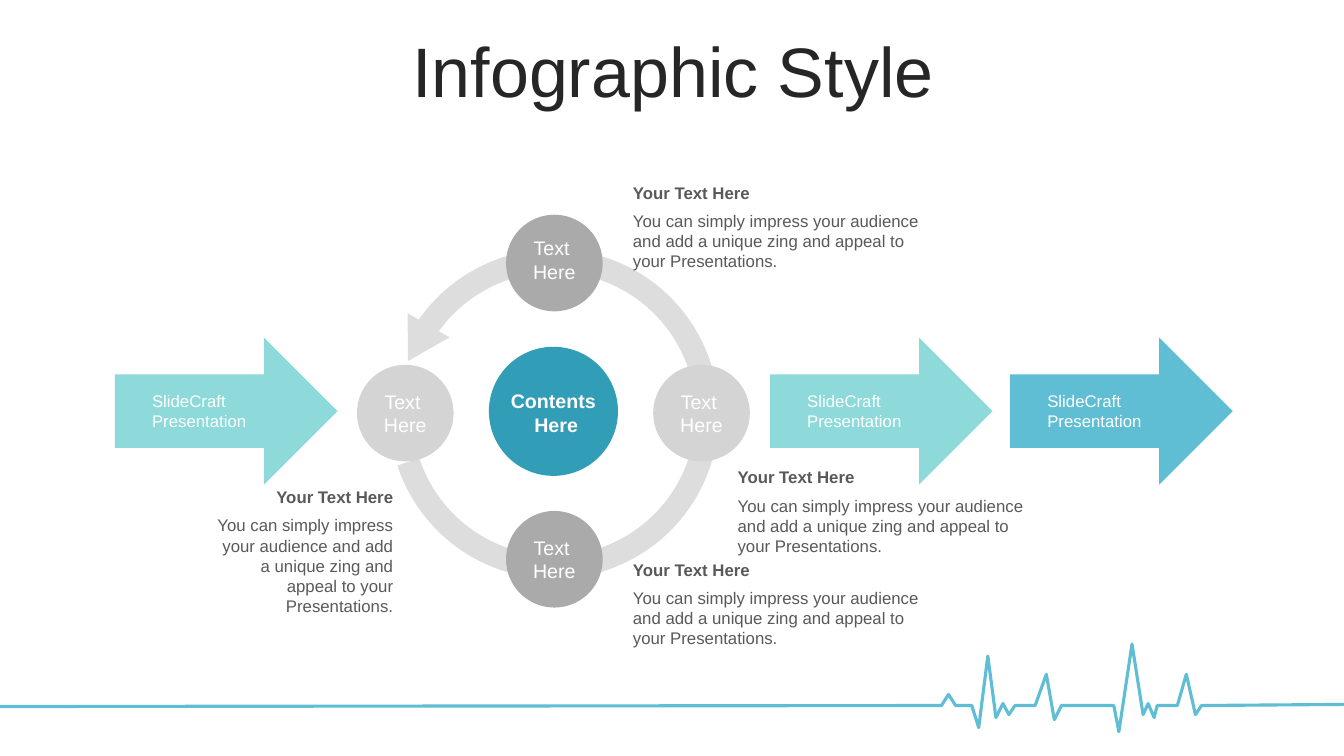
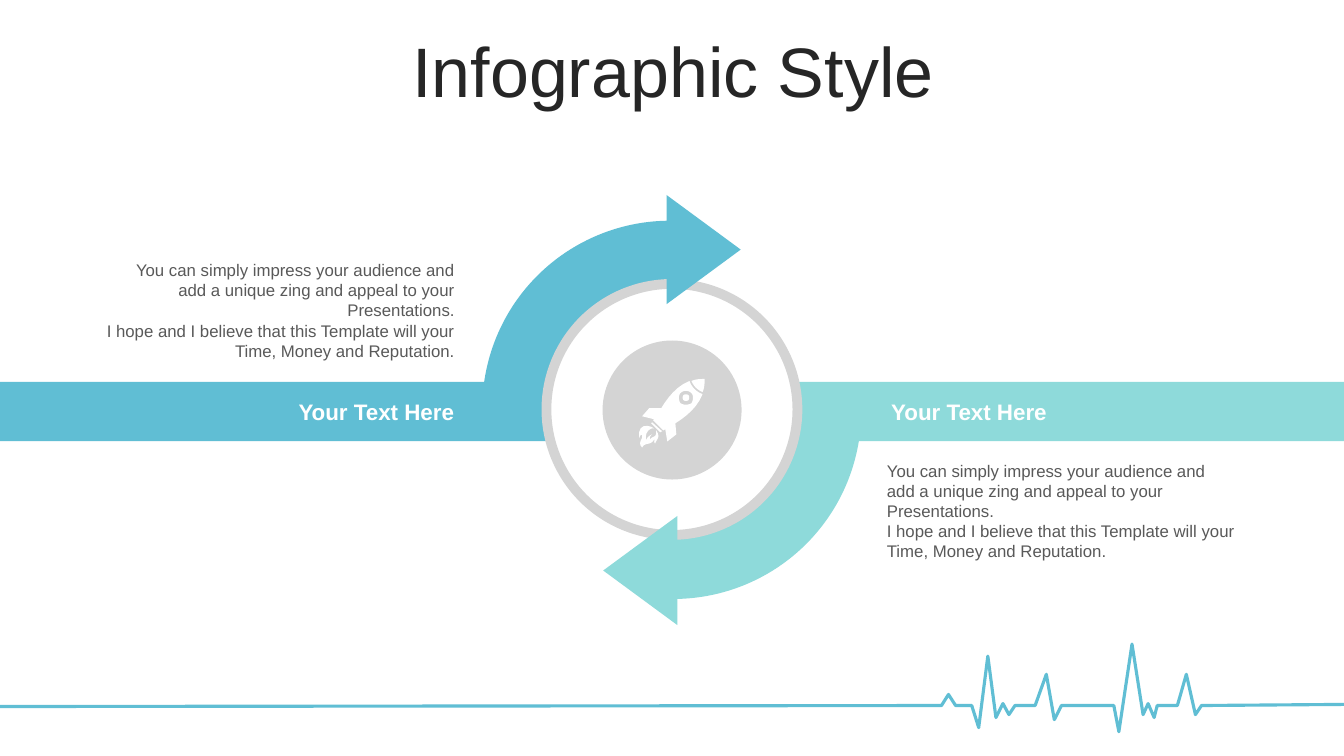
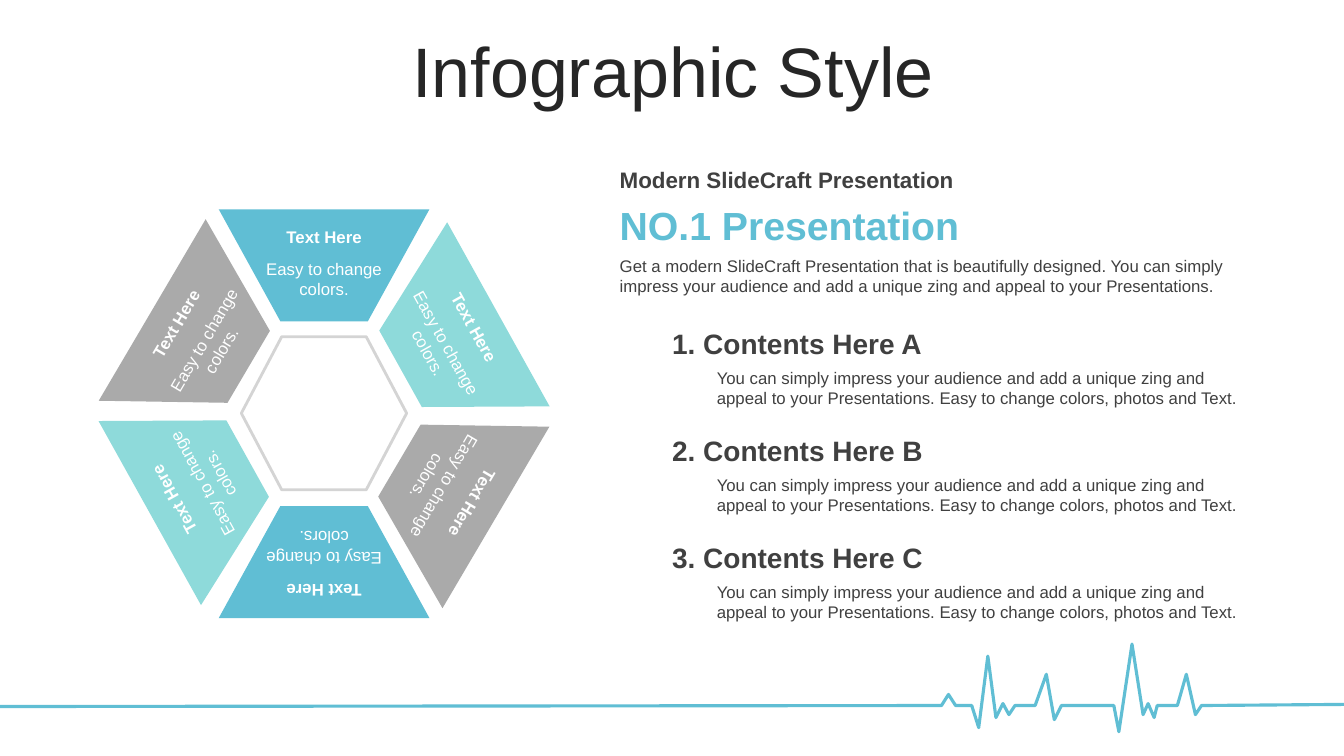
"""Build three medical infographic slides: a cycle, a rocket turn and a hexagon wheel."""
from math import cos, radians, sin

from pptx import Presentation
from pptx.dml.color import RGBColor
from pptx.enum.shapes import MSO_SHAPE
from pptx.enum.text import MSO_ANCHOR, PP_ALIGN
from pptx.util import Pt

FONT = "Arial"
BLUE, MINT, TEAL = "60BED4", "8EDADA", "319DB6"
PALE, SILVER, GREY = "DDDDDD", "D4D4D4", "AAAAAA"
WHITE, INK, DARK, BODY = "FFFFFF", "262626", "404040", "595959"
LEFT, CENTER, RIGHT = PP_ALIGN.LEFT, PP_ALIGN.CENTER, PP_ALIGN.RIGHT

PULSE = [
    (0, 504.7), (672.5, 504), (677.5, 496.1), (682.6, 504), (694.1, 504), (699.1, 519.8),
    (705.6, 468.7), (711.4, 512.6), (716.4, 502.6), (720.7, 510.5), (725, 504),
    (739.4, 504), (747.4, 481.7), (753.1, 514.1), (758.2, 504), (795.6, 504),
    (799.2, 522.7), (808.6, 460.1), (816.5, 510.5), (820.1, 502.6), (824.4, 512.6),
    (826.6, 504), (841, 504), (847.4, 481.7), (853.9, 510.5), (858.2, 504), (960, 503.2),
]


def paint(fill, color):
    """Make a fill solid in the given hex colour."""
    fill.solid()
    fill.fore_color.rgb = RGBColor.from_string(color)


def add(slide, kind, left, top, width, height, *lines, fill=None, line=None, weight=1,
        rotation=0, adjust=(), size=12, color=BODY, bold=0, align=LEFT, anchor=MSO_ANCHOR.TOP,
        gap=0, spacing=None, inset=(7.2, 3.6, 7.2, 3.6)):
    """Add a shape, or a text box when kind is None; the first `bold` lines are bold."""
    box = [Pt(length) for length in (left, top, width, height)]
    if kind is None:
        part = slide.shapes.add_textbox(*box)
    else:
        part = slide.shapes.add_shape(kind, *box)
        part.shadow.inherit = False
        paint(part.fill, fill)
        if line:
            paint(part.line.fill, line)
            part.line.width = Pt(weight)
        else:
            part.line.fill.background()
        for index, value in enumerate(adjust):
            part.adjustments[index] = value
    part.rotation = rotation
    if not lines:
        return
    frame = part.text_frame
    frame.word_wrap = True
    frame.vertical_anchor = anchor
    frame.margin_left, frame.margin_top, frame.margin_right, frame.margin_bottom = map(Pt, inset)
    for index, words in enumerate(lines):
        paragraph = frame.add_paragraph() if index else frame.paragraphs[0]
        paragraph.alignment = align
        if spacing:
            paragraph.line_spacing = spacing
        if index and gap:
            paragraph.space_before = Pt(gap)
        run = paragraph.add_run()
        run.text = words
        run.font.name = FONT
        run.font.size = Pt(size)
        run.font.bold = index < bold
        paint(run.font.fill, color)


deck = Presentation()
deck.slide_width, deck.slide_height = Pt(960), Pt(540)
blank = deck.slide_layouts[6]
cycle, turn, wheel = [deck.slides.add_slide(blank) for _ in range(3)]

for slide in (cycle, turn, wheel):
    points = [(Pt(x), Pt(y)) for x, y in PULSE]
    builder = slide.shapes.build_freeform(*points[0], scale=1.0)
    builder.add_line_segments(points[1:], close=False)
    pulse = builder.convert_to_shape()
    pulse.shadow.inherit = False
    pulse.fill.background()
    paint(pulse.line.fill, BLUE)
    pulse.line.width = Pt(2.25)
    add(slide, None, 25.2, 26.6, 911.5, 56.9, "Infographic Style", size=50, color=INK,
        align=CENTER, anchor=MSO_ANCHOR.MIDDLE, spacing=0.8)

IMPRESS = "You can simply impress your audience and add a unique zing and appeal to your Presentations."

for left, color in ((82, MINT), (550, MINT), (721.5, BLUE)):
    add(cycle, MSO_SHAPE.RIGHT_ARROW, left, 241.2, 159, 105, "SlideCraft", "Presentation",
        fill=color, color=WHITE, anchor=MSO_ANCHOR.MIDDLE, inset=(26.6, 0, 0, 0))

add(cycle, MSO_SHAPE.BLOCK_ARC, 278, 178, 235.5, 235.5, fill=PALE, adjust=(128.351, 97.082, 0.07))
for left, top, color, lift in ((255, 260.6, SILVER, 0), (361.5, 365, GREY, 0),
                               (466.6, 260.6, SILVER, 0), (361.5, 153.4, GREY, 5)):
    add(cycle, MSO_SHAPE.OVAL, left, top, 69, 69, "Text ", "Here", fill=color, size=14,
        color=WHITE, align=CENTER, anchor=MSO_ANCHOR.MIDDLE, inset=(0, 0, 0, lift))
add(cycle, MSO_SHAPE.OVAL, 349.2, 247.7, 92.2, 92.2, "Contents", " Here", fill=TEAL, size=14,
    color=WHITE, bold=2, align=CENTER, anchor=MSO_ANCHOR.MIDDLE, inset=(0, 2, 0, 0))
add(cycle, MSO_SHAPE.ISOSCELES_TRIANGLE, 281.5, 230.4, 34.5, 29.5, fill=PALE, rotation=210)

for left, top, width, align in ((445, 126.7, 231, LEFT), (519.8, 330, 231, LEFT),
                                (445, 396, 231, LEFT), (144.7, 344.2, 143.3, RIGHT)):
    add(cycle, None, left, top, width, 71, "Your Text Here", IMPRESS, bold=1, align=align, gap=5.8)

HOPE = "I hope and I believe that this Template will your Time, Money and Reputation."

for left, color, align, inset in ((0, BLUE, RIGHT, (0, 0, 66, 0)), (569.6, MINT, LEFT, (67, 0, 0, 0))):
    add(turn, MSO_SHAPE.RECTANGLE, left, 272.7, 390.4, 42.5, "Your Text Here", fill=color, size=16,
        color=WHITE, bold=1, align=align, anchor=MSO_ANCHOR.MIDDLE, inset=inset)
for left, top, color, rotation in ((344.5, 157.7, BLUE, 0), (346.7, 159.3, MINT, 180)):
    add(turn, MSO_SHAPE.PIE, left, top, 268.5, 268.5, fill=color, rotation=rotation,
        adjust=(107.755, 162))
add(turn, MSO_SHAPE.OVAL, 390.3, 202.8, 179.3, 179.3, fill=WHITE, line=SILVER, weight=7)
for left, top, color, rotation in ((463.6, 151.8, BLUE, 90), (418.4, 381, MINT, 270)):
    add(turn, MSO_SHAPE.ISOSCELES_TRIANGLE, left, top, 78, 53, fill=color, rotation=rotation)
add(turn, MSO_SHAPE.OVAL, 430.4, 243.2, 99.3, 99.3, fill=SILVER)
for left, top, align in ((626.4, 325.4, LEFT), (69.1, 182, RIGHT)):
    add(turn, None, left, top, 262.8, 80, IMPRESS, HOPE, align=align)

ROCKET_INCHES = {
    "flame": [(6.49, 4.25), (6.45, 4.24, 6.39, 4.29, 6.41, 4.37), (6.42, 4.33, 6.45, 4.32, 6.47, 4.31),
              (6.46, 4.32, 6.44, 4.33, 6.45, 4.36), (6.47, 4.32, 6.52, 4.35, 6.51, 4.27),
              (6.56, 4.34, 6.51, 4.36, 6.5, 4.4), (6.48, 4.39, 6.5, 4.35, 6.49, 4.36),
              (6.45, 4.43, 6.4, 4.38, 6.37, 4.44), (6.32, 4.39, 6.38, 4.36, 6.37, 4.32),
              (6.37, 4.31, 6.35, 4.31, 6.34, 4.35), (6.32, 4.2, 6.43, 4.21, 6.49, 4.25)],
    "nozzle": [(6.47, 4.19), (6.57, 4.28), (6.56, 4.28, 6.55, 4.29, 6.55, 4.29), (6.46, 4.2)],
    "window": [(6.83, 3.92), (6.84, 3.93, 6.84, 3.96, 6.83, 3.97), (6.82, 3.98, 6.79, 3.98, 6.78, 3.97),
               (6.77, 3.96, 6.77, 3.93, 6.78, 3.92), (6.79, 3.91, 6.82, 3.91, 6.83, 3.92)],
    "frame": [(6.86, 3.9), (6.83, 3.87, 6.78, 3.87, 6.75, 3.9), (6.73, 3.92, 6.73, 3.97, 6.75, 4),
              (6.78, 4.02, 6.83, 4.02, 6.86, 4), (6.88, 3.97, 6.88, 3.92, 6.86, 3.9)],
    "hull": [(6.84, 3.78), (6.86, 3.84, 6.91, 3.89, 6.97, 3.91), (6.92, 4.04, 6.81, 4.13, 6.7, 4.2),
             (6.71, 4.31), (6.62, 4.38), (6.6, 4.26), (6.58, 4.27), (6.48, 4.17),
             (6.48, 4.17, 6.49, 4.16, 6.49, 4.16), (6.37, 4.13), (6.44, 4.05), (6.56, 4.05),
             (6.62, 3.95, 6.71, 3.83, 6.84, 3.78)],
    "nose": [(6.99, 3.76), (6.99, 3.8, 6.99, 3.85, 6.97, 3.89), (6.92, 3.87, 6.88, 3.83, 6.86, 3.78),
             (6.9, 3.76, 6.95, 3.76, 6.99, 3.76)],
}
CURVE_STEPS = 6

builder = None
for outline in ROCKET_INCHES.values():
    points = [outline[0]]
    for segment in outline[1:]:
        if len(segment) == 2:
            points.append(segment)
            continue
        x0, y0 = points[-1]
        x1, y1, x2, y2, x3, y3 = segment
        for step in range(1, CURVE_STEPS + 1):
            t = step / CURVE_STEPS
            a, b, c, d = (1 - t) ** 3, 3 * t * (1 - t) ** 2, 3 * t * t * (1 - t), t ** 3
            points.append((a * x0 + b * x1 + c * x2 + d * x3, a * y0 + b * y1 + c * y2 + d * y3))
    points = [(Pt(72 * x), Pt(72 * y)) for x, y in points]
    if builder is None:
        builder = turn.shapes.build_freeform(*points[0], scale=1.0)
    else:
        builder.move_to(*points[0])
    builder.add_line_segments(points[1:], close=True)
rocket = builder.convert_to_shape()
rocket.shadow.inherit = False
paint(rocket.fill, WHITE)
rocket.line.fill.background()

HUB_X, HUB_Y = 231.5, 295.5
BLADE_W, BLADE_H = 150.5, 80
LABEL_W, LABEL_H = 111.6, 58.4

for index, angle in enumerate((0, 60.9, 120.5, 180, 240.9, 300.5)):
    color = (BLUE, MINT, GREY)[index % 3]
    across, up = sin(radians(angle)), cos(radians(angle))
    add(wheel, MSO_SHAPE.TRAPEZOID, HUB_X + 102.5 * across - BLADE_W / 2,
        HUB_Y - 106 * up - BLADE_H / 2, BLADE_W, BLADE_H, fill=color,
        rotation=(angle + 180) % 360, adjust=(0.568 if color == GREY else 0.55,))
    add(wheel, None, HUB_X + 104.5 * across - LABEL_W / 2, HUB_Y - 108 * up - LABEL_H / 2,
        LABEL_W, LABEL_H, "Text Here", "Easy to change colors.", color=WHITE, bold=1,
        align=CENTER, gap=8.5, rotation=angle)
add(wheel, MSO_SHAPE.HEXAGON, 172.4, 240.5, 118.1, 109.4, fill=WHITE, line=SILVER, weight=2,
    adjust=(0.264,))

add(wheel, None, 435.6, 115.2, 463.7, 26.6, "Modern SlideCraft Presentation", size=16, color=DARK, bold=1)
add(wheel, None, 435.6, 140.4, 463.7, 41, "NO.1 Presentation", size=28, color=BLUE, bold=1)
add(wheel, None, 435.6, 179.3, 463.7, 36,
    "Get a modern SlideCraft Presentation that is beautifully designed. You can simply impress "
    "your audience and add a unique zing and appeal to your Presentations.", color=DARK)

for index, letter in enumerate("ABC"):
    top = 229.7 + 76.3 * index
    add(wheel, None, 473, top, 427, 31.7, f"{index + 1}. Contents Here {letter}", size=20,
        color=DARK, bold=1)
    add(wheel, None, 506.2, top + 29.5, 393.8, 36, IMPRESS + " Easy to change colors, photos and Text.",
        color=DARK, inset=(5.8, 3.6, 5.8, 3.6))

deck.save("out.pptx")
